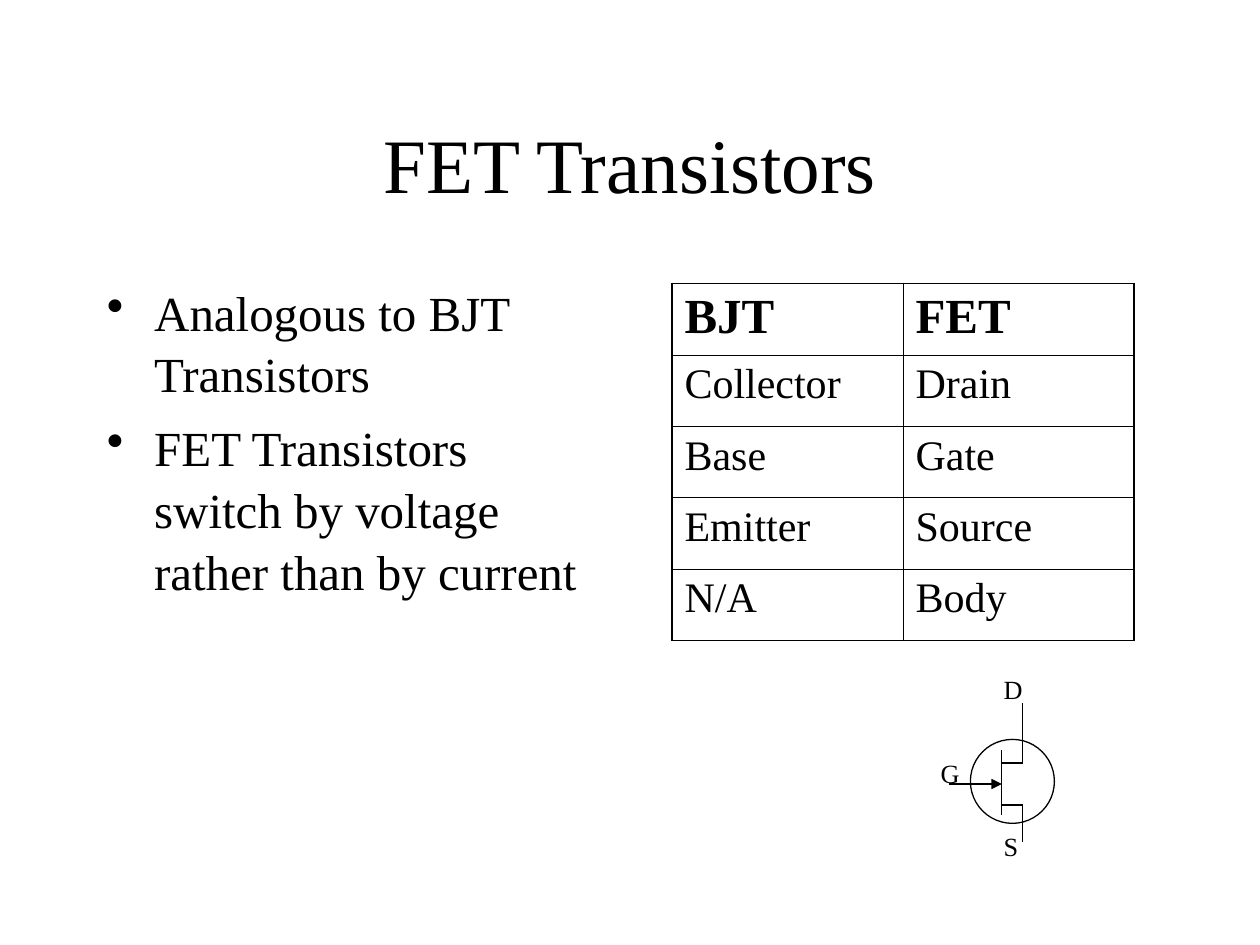
from lxml import etree
from pptx import Presentation
from pptx.dml.color import RGBColor
from pptx.enum import shapes, text
from pptx.oxml import ns
from pptx.util import Pt

FONT = "Times New Roman"
BLACK = "000000"


def color(value):
    return RGBColor.from_string(value)


def write_text(frame, lines, size, bold=False, align=None, anchor=None,
               space_before=0, line_spacing=None, bullet=False):
    frame.word_wrap = True
    if anchor is not None:
        frame.vertical_anchor = anchor
    for index, line in enumerate(lines):
        paragraph = frame.add_paragraph() if index else frame.paragraphs[0]
        paragraph.space_before = Pt(space_before)
        if align is not None:
            paragraph.alignment = align
        if line_spacing is not None:
            paragraph.line_spacing = line_spacing
        if bullet:
            properties = paragraph._p.get_or_add_pPr()
            properties.set("marL", str(Pt(27)))
            properties.set("indent", str(Pt(-27)))
            etree.SubElement(properties, ns.qn("a:buChar"), char="•")
        run = paragraph.add_run()
        run.text = line
        run.font.name = FONT
        run.font.size = Pt(size)
        run.font.bold = bold
        run.font.color.rgb = color(BLACK)


def add_text(parent, left, top, width, height, lines, size, **style):
    box = parent.add_textbox(Pt(left), Pt(top), Pt(width), Pt(height))
    write_text(box.text_frame, lines, size, **style)


def add_line(parent, start, end, arrow=False):
    line = parent.add_connector(
        shapes.MSO_CONNECTOR.STRAIGHT, *(Pt(value) for value in (*start, *end)))
    line.line.color.rgb = color(BLACK)
    line.line.width = Pt(0.75)
    if arrow:
        etree.SubElement(line.line._get_or_add_ln(), ns.qn("a:tailEnd"), type="triangle")
    etree.SubElement(line._element.spPr, ns.qn("a:effectLst"))


def set_border(cell, side, width):
    border = etree.SubElement(
        cell._tc.get_or_add_tcPr(), ns.qn(f"a:ln{side}"), w=str(Pt(width)))
    fill = etree.SubElement(border, ns.qn("a:solidFill"))
    etree.SubElement(fill, ns.qn("a:srgbClr"), val=BLACK)


def add_terminal_table(slide, left, top, width, height, rows):
    row_count, column_count = len(rows), len(rows[0])
    table = slide.shapes.add_table(
        row_count, column_count, Pt(left), Pt(top), Pt(width), Pt(height)).table
    table.first_row = False
    table.horz_banding = False
    for column in table.columns:
        column.width = Pt(width / column_count)
    for row in table.rows:
        row.height = Pt(height / row_count)
    for row_index, row in enumerate(rows):
        header = row_index == 0
        for column_index, label in enumerate(row):
            cell = table.cell(row_index, column_index)
            write_text(cell.text_frame, [label], 28 if header else 24,
                       bold=header, space_before=7 if header else 6)
            outer = {"L": column_index == 0, "R": column_index == column_count - 1,
                     "T": header, "B": row_index == row_count - 1}
            for side, is_outer in outer.items():
                set_border(cell, side, 1.08 if is_outer else 0.45)
            cell.fill.background()


def add_fet_symbol(slide, left, top):
    symbol = slide.shapes.add_group_shape().shapes
    circle = symbol.add_shape(
        shapes.MSO_SHAPE.OVAL, Pt(left + 24), Pt(top + 41.5), Pt(48), Pt(48))
    circle.shadow.inherit = False
    circle.fill.background()
    circle.line.color.rgb = color(BLACK)
    circle.line.width = Pt(0.75)

    channel, lead = left + 42, left + 54
    gate, drain, source = top + 67, top + 55, top + 79
    add_line(symbol, (channel, top + 47.5), (channel, top + 85))
    add_line(symbol, (left + 12, gate), (channel, gate), arrow=True)
    for contact, end in ((source, top + 100), (drain, top + 21)):
        add_line(symbol, (channel, contact), (lead, contact))
        add_line(symbol, (lead, contact), (lead, end))
    for label, x, y in (("S", 36, 90), ("G", 0, 48), ("D", 36, 0)):
        add_text(symbol, left + x, top + y, 42, 25, [label], 15, space_before=9.4)


def main():
    presentation = Presentation()
    presentation.slide_width = Pt(720)
    presentation.slide_height = Pt(540)
    slide = presentation.slides.add_slide(presentation.slide_layouts[6])
    add_text(slide.shapes, 54, 48, 612, 90, ["FET Transistors"], 44,
             align=text.PP_ALIGN.CENTER, anchor=text.MSO_ANCHOR.MIDDLE)
    add_text(slide.shapes, 54, 156, 300, 324,
             ["Analogous to BJT Transistors",
              "FET Transistors switch by voltage rather than by current"],
             28, space_before=7, line_spacing=1.05, bullet=True)
    add_terminal_table(slide, 384, 162, 264, 204, [
        ("BJT", "FET"),
        ("Collector", "Drain"),
        ("Base", "Gate"),
        ("Emitter", "Source"),
        ("N/A", "Body"),
    ])
    add_fet_symbol(slide, 530.5, 381)
    presentation.save("out.pptx")


if __name__ == "__main__":
    main()
